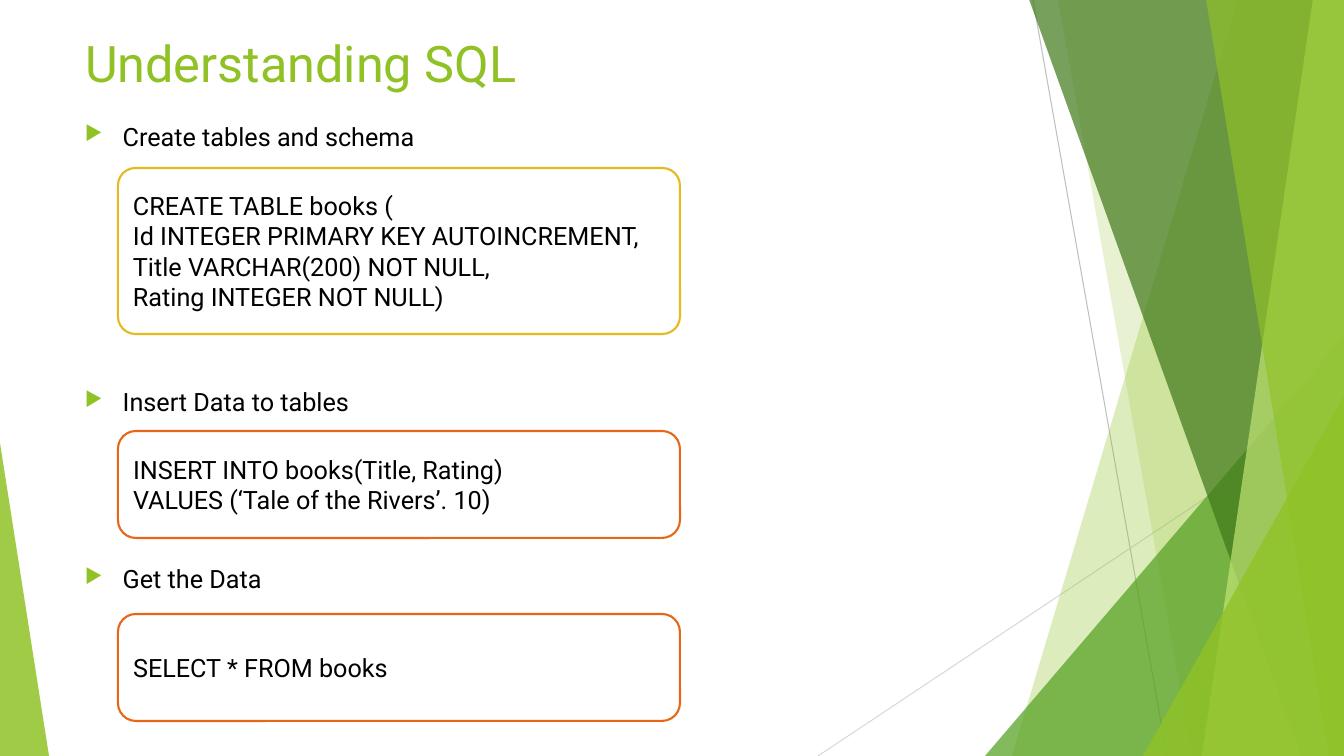
from dataclasses import dataclass

from lxml.etree import SubElement
from pptx import Presentation
from pptx.dml.color import RGBColor as Rgb
from pptx.enum.shapes import MSO_CONNECTOR as Link, MSO_SHAPE as Form
from pptx.enum.text import MSO_ANCHOR as Anchor, MSO_AUTO_SIZE as Fit, PP_ALIGN as Align
from pptx.oxml.ns import qn
from pptx.shapes.autoshape import Shape
from pptx.slide import Slide
from pptx.text.text import TextFrame as Frame
from pptx.util import Emu, Pt

WIDE, HIGH = 1344, 756
SCALE = 12192000 / WIDE
FONT = "Roboto"
HEX = {
    "lime": "90C226", "green": "54A021", "forest": "3F7819", "pale": "C0E474",
    "gold": "E6B91E", "orange": "E76618", "white": "FFFFFF", "black": "000000",
    "grey": "BFBFBF", "light": "D9D9D9",
}
PLAIN = {"word_wrap": True, "auto_size": Fit.NONE}
TOP = PLAIN | {"vertical_anchor": Anchor.TOP}
MID = PLAIN | {"vertical_anchor": Anchor.MIDDLE}


@dataclass
class Ray:
    start: tuple[int, int]
    end: tuple[int, int]
    hue: str


@dataclass
class Slab:
    top: int
    base: int
    hue: str
    alpha: int


@dataclass
class Wedge:
    box: tuple[int, int, int, int]
    apex: int
    hue: str
    alpha: int


@dataclass
class Point:
    text: str
    gap: int


@dataclass
class Code:
    top: int
    high: int
    curve: float
    hue: str
    lines: list[str]


RAYS = [
    Ray((1033, 0), (1167, HIGH), "grey"),
    Ray((WIDE, 406), (818, HIGH), "light"),
]
DECOR = [
    Slab(1238, 1012, "lime", 30),
    Slab(1058, 1192, "lime", 20),
    Wedge((985, 336, 359, 420), 1, "green", 72),
    Slab(1029, 1301, "forest", 70),
    Slab(1313, 1202, "pale", 70),
    Slab(1206, 1329, "lime", 65),
    Wedge((1143, 396, 201, 360), 1, "lime", 80),
    Wedge((0, 443, 49, 313), 0, "lime", 85),
]
POINTS = [
    Point("Create tables and schema", 0),
    Point("Insert Data to tables", 168),
    Point("Get the Data", 105),
]
CODES = [
    Code(168, 166, 0.105, "gold", [
        "CREATE TABLE books (",
        "Id INTEGER PRIMARY KEY AUTOINCREMENT,",
        "Title VARCHAR(200) NOT NULL,",
        "Rating INTEGER NOT NULL)",
    ]),
    Code(431, 107, 0.167, "orange", [
        "INSERT INTO books(Title, Rating)",
        "VALUES (‘Tale of the Rivers’. 10)",
    ]),
    Code(614, 107, 0.167, "orange", ["SELECT * FROM books"]),
]


def px(*nums: int) -> list[Emu]:
    return [Emu(round(num * SCALE)) for num in nums]


def tint(name: str) -> Rgb:
    return Rgb.from_string(HEX[name])


def style(target: object, values: dict) -> None:
    for name, value in values.items():
        setattr(target, name, value)


def write(frame: Frame, lines: list[str], size: int, hue: str) -> None:
    frame.text = "\n".join(lines)
    for para in frame.paragraphs:
        para.alignment = Align.LEFT
        for run in para.runs:
            style(run.font, {"name": FONT, "size": Pt(size)})
            run.font.color.rgb = tint(hue)


def paint(shape: Shape, hue: str, alpha: int = 100) -> None:
    shape.shadow.inherit = False
    shape.fill.solid()
    shape.fill.fore_color.rgb = tint(hue)
    shape.line.fill.background()
    if alpha < 100:
        node = shape.element.spPr.find(".//" + qn("a:srgbClr"))
        SubElement(node, qn("a:alpha"), val=str(alpha * 1000))


def edge(shape: object, hue: str, width: float) -> None:
    shape.line.color.rgb = tint(hue)
    shape.line.width = Pt(width)


def draw_ray(slide: Slide, ray: Ray) -> None:
    line = slide.shapes.add_connector(Link.STRAIGHT, *px(*ray.start, *ray.end))
    edge(line, ray.hue, 0.75)
    SubElement(line.element.spPr, qn("a:effectLst"))


def draw_slab(slide: Slide, slab: Slab) -> None:
    path = slide.shapes.build_freeform(slab.top, -1, SCALE)
    path.add_line_segments([(WIDE, -1), (WIDE, HIGH), (slab.base, HIGH)], close=True)
    paint(path.convert_to_shape(), slab.hue, slab.alpha)


def draw_wedge(slide: Slide, wedge: Wedge) -> None:
    shape = slide.shapes.add_shape(Form.ISOSCELES_TRIANGLE, *px(*wedge.box))
    shape.adjustments[0] = wedge.apex
    paint(shape, wedge.hue, wedge.alpha)


def draw_title(slide: Slide, text: str) -> None:
    title = slide.shapes.title
    style(title, dict(zip(("left", "top", "width", "height"), px(75, 27, 948, 89))))
    write(title.text_frame, [text], 36, "lime")
    style(title.text_frame, TOP)


def draw_points(slide: Slide, points: list[Point]) -> None:
    frame = slide.shapes.add_textbox(*px(75, 116, 948, 580)).text_frame
    style(frame, TOP)
    write(frame, [point.text for point in points], 18, "black")
    for para, point in zip(frame.paragraphs, points):
        para.space_before = Pt(point.gap)
        props = para._p.get_or_add_pPr()
        props.set("marL", "342900")
        props.set("indent", "-342900")
        shade = SubElement(props, qn("a:buClr"))
        SubElement(shade, qn("a:srgbClr"), val=HEX["lime"])
        SubElement(props, qn("a:buSzPct"), val="80000")
        SubElement(props, qn("a:buChar"), char="▶")


def draw_code(slide: Slide, code: Code) -> None:
    shape = slide.shapes.add_shape(Form.ROUNDED_RECTANGLE, *px(118, code.top, 562, code.high))
    shape.adjustments[0] = code.curve
    paint(shape, "white")
    edge(shape, code.hue, 1.5)
    style(shape.text_frame, MID)
    write(shape.text_frame, code.lines, 18, "black")


def main() -> None:
    deck = Presentation()
    deck.slide_width, deck.slide_height = px(WIDE, HIGH)
    slide = deck.slides.add_slide(deck.slide_layouts[5])
    for ray in RAYS:
        draw_ray(slide, ray)
    for part in DECOR:
        if isinstance(part, Slab):
            draw_slab(slide, part)
        else:
            draw_wedge(slide, part)
    draw_title(slide, "Understanding SQL")
    draw_points(slide, POINTS)
    for code in CODES:
        draw_code(slide, code)
    deck.save("out.pptx")


if __name__ == "__main__":
    main()
